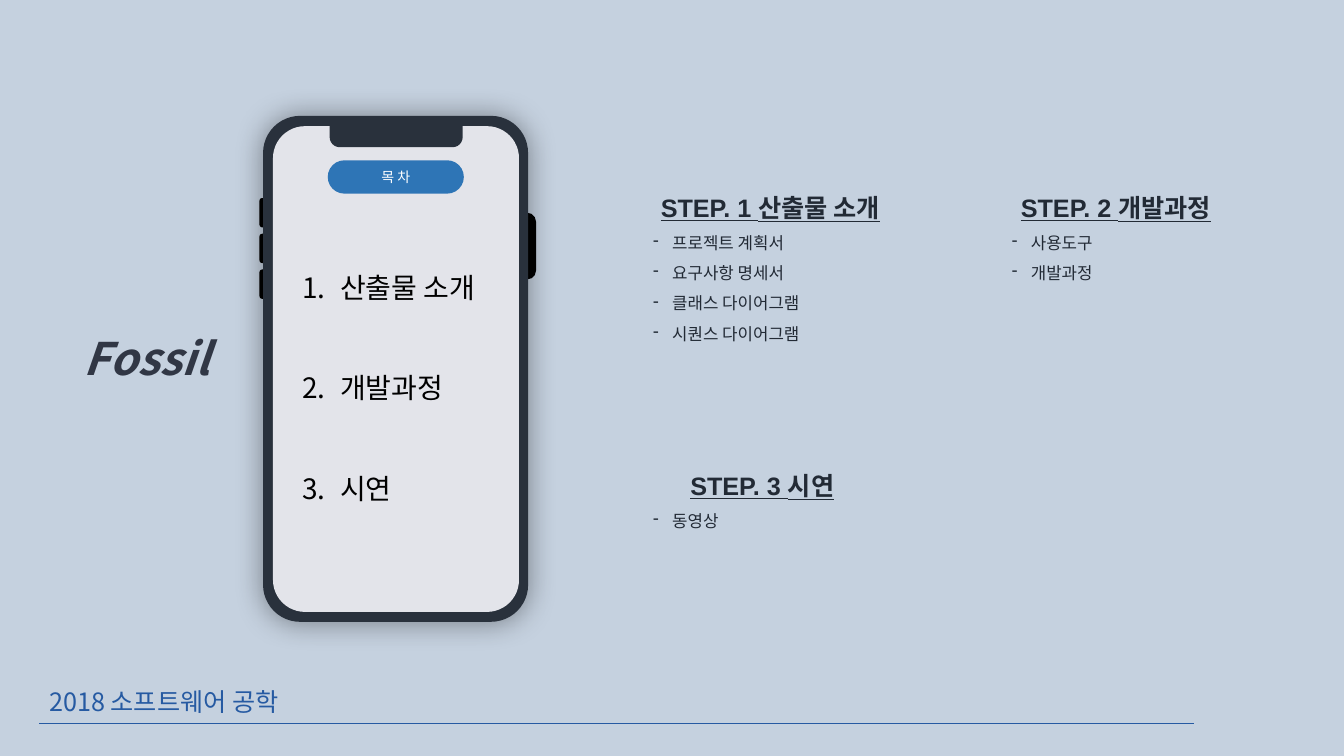
import pptx
import pptx.dml.color
import pptx.enum.shapes
import pptx.enum.text
import pptx.oxml
import pptx.oxml.ns
import pptx.util
from lxml import etree

Cm = pptx.util.Cm
Pt = pptx.util.Pt
SHAPE = pptx.enum.shapes.MSO_SHAPE
CENTER = pptx.enum.text.PP_ALIGN.CENTER
KOREAN_FONT = "Noto Sans CJK KR"
COLORS = {
    "background": "C5D1DF",
    "button": "000000",
    "frame": "29313C",
    "screen": "E3E4EA",
    "pill": "2E75B6",
    "pill text": "FFFFFF",
    "step": "222A35",
    "team": "313745",
    "list": "000000",
    "footer": "265AA2",
}


def add_part(shapes, kind, box, color, adjustments, rotation=0):
    shape = shapes.add_shape(kind, *[Cm(length) for length in box])
    for index, value in enumerate(adjustments):
        shape.adjustments[index] = value
    shape.rotation = rotation
    shape.shadow.inherit = False
    shape.fill.solid()
    shape.fill.fore_color.rgb = pptx.dml.color.RGBColor.from_string(COLORS[color])
    shape.line.fill.background()
    return shape


def style(paragraph, size, color, name=KOREAN_FONT, bullet=None, margin=0.0, indent=0.0):
    properties = paragraph._p.get_or_add_pPr()
    properties.set("marL", str(Cm(margin)))
    properties.set("indent", str(Cm(indent)))
    if bullet:
        tag, attribute, value = bullet
        element = etree.SubElement(properties, pptx.oxml.ns.qn(tag))
        element.set(attribute, value)
    font = paragraph.font
    font.size = Pt(size)
    font.color.rgb = pptx.dml.color.RGBColor.from_string(COLORS[color])
    font.name = name
    east_asian = etree.SubElement(font._element, pptx.oxml.ns.qn("a:ea"))
    east_asian.set("typeface", KOREAN_FONT)
    return font


presentation = pptx.Presentation()
presentation.slide_width = Cm(33.87)
presentation.slide_height = Cm(19.05)
slide = presentation.slides.add_slide(presentation.slide_layouts[5])
slide.background.fill.solid()
slide.background.fill.fore_color.rgb = pptx.dml.color.RGBColor.from_string(COLORS["background"])

title = slide.shapes.title
title.left, title.top, title.width, title.height = Cm(0.56), Cm(7.54), Cm(6.27), Cm(2.03)
title.text_frame.auto_size = pptx.enum.text.MSO_AUTO_SIZE.NONE
title.text_frame.vertical_anchor = pptx.enum.text.MSO_ANCHOR.TOP
title.text_frame.text = "Fossil"
paragraph = title.text_frame.paragraphs[0]
paragraph.alignment = CENTER
paragraph.line_spacing = 1.5
font = style(paragraph, 32, "team")
font.bold = True
font.italic = True

phone = slide.shapes.add_group_shape().shapes
for row in range(3):
    add_part(phone, SHAPE.ROUND_2_SAME_RECTANGLE, (6.32, 5.21 + 0.9 * row, 0.74, 0.3),
             "button", (0.23, 0), 270)
add_part(phone, SHAPE.ROUND_2_SAME_RECTANGLE, (12.34, 5.87, 1.68, 0.66), "button", (0, 0.34), 270)
frame = add_part(phone, SHAPE.ROUNDED_RECTANGLE, (6.63, 2.92, 6.68, 12.75), "frame", (0.14,))
effects = frame._element.spPr.find(pptx.oxml.ns.qn("a:effectLst"))
effects.append(pptx.oxml.parse_xml(
    f'<a:outerShdw {pptx.oxml.ns.nsdecls("a")} blurRad="{Pt(21)}" dist="0" algn="ctr" rotWithShape="0">'
    '<a:srgbClr val="000000"><a:alpha val="40000"/></a:srgbClr></a:outerShdw>'))
add_part(phone, SHAPE.ROUNDED_RECTANGLE, (6.88, 3.18, 6.2, 12.24), "screen", (0.13,))
add_part(phone, SHAPE.ROUND_2_SAME_RECTANGLE, (8.31, 2.97, 3.35, 0.74), "frame", (0, 0.34))

pill = add_part(slide.shapes, SHAPE.ROUNDED_RECTANGLE, (8.26, 4.04, 3.43, 0.84), "pill", (0.5,))
pill.text_frame.text = "목 차"
pill.text_frame.vertical_anchor = pptx.enum.text.MSO_ANCHOR.MIDDLE
pill.text_frame.paragraphs[0].alignment = CENTER
style(pill.text_frame.paragraphs[0], 10, "pill text")

contents = slide.shapes.add_textbox(Cm(7.37), Cm(6.68), Cm(6.2), Cm(6.25)).text_frame
contents.word_wrap = True
contents.text = "산출물 소개\n개발과정\n시연"
for index, paragraph in enumerate(contents.paragraphs):
    if index:
        paragraph.space_before = Pt(48)
    style(paragraph, 20, "list", bullet=("a:buAutoNum", "type", "arabicPeriod"),
          margin=0.95, indent=-0.95)

steps = [
    ((15.95, 4.34, 6.68, 4.5), "STEP. 1 산출물 소개",
     ["프로젝트 계획서", "요구사항 명세서", "클래스 다이어그램", "시퀀스 다이어그램"]),
    ((24.99, 4.34, 6.02, 3.71), "STEP. 2 개발과정", ["사용도구", "개발과정"]),
    ((15.95, 11.35, 6.27, 2.18), "STEP. 3 시연", ["동영상"]),
]
for box, heading, items in steps:
    step = slide.shapes.add_textbox(*[Cm(length) for length in box]).text_frame
    step.word_wrap = True
    step.text = "\n".join([heading] + items)
    for index, paragraph in enumerate(step.paragraphs):
        paragraph.line_spacing = 1.5
        if index:
            style(paragraph, 12, "step", "Arial", ("a:buChar", "char", "-"), 0.74, -0.48)
        else:
            paragraph.alignment = CENTER
            font = style(paragraph, 18, "step", "Arial", margin=0.25)
            font.bold = True
            font.underline = True

rule = slide.shapes.add_connector(
    pptx.enum.shapes.MSO_CONNECTOR.STRAIGHT, Cm(0.99), Cm(18.24), Cm(30.1), Cm(18.24))
rule.line.color.rgb = pptx.dml.color.RGBColor.from_string(COLORS["footer"])
rule.line.width = Pt(0.5)
etree.SubElement(rule._element.spPr, pptx.oxml.ns.qn("a:effectLst"))

footer = slide.shapes.add_textbox(Cm(0.99), Cm(17.17), Cm(6.91), Cm(1.02)).text_frame
footer.word_wrap = False
footer.text = "2018 소프트웨어 공학"
style(footer.paragraphs[0], 18, "footer")

presentation.save("out.pptx")
